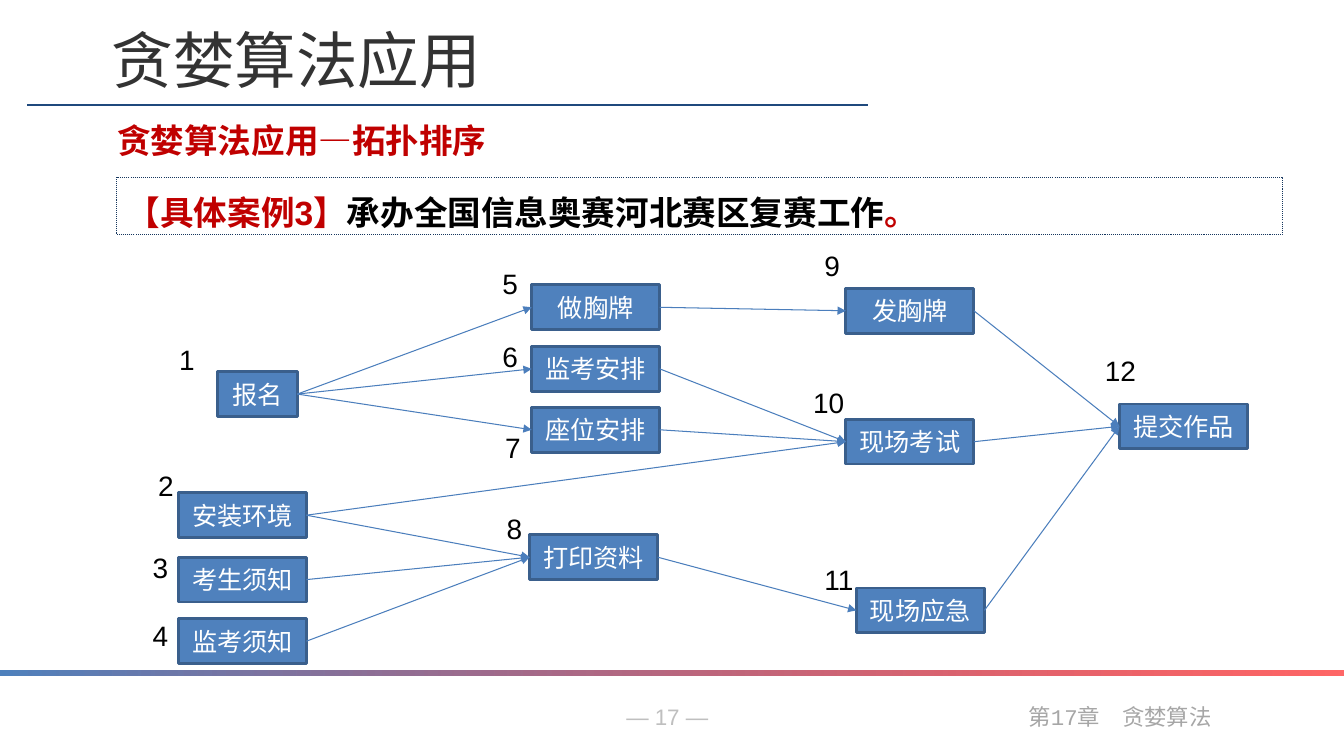
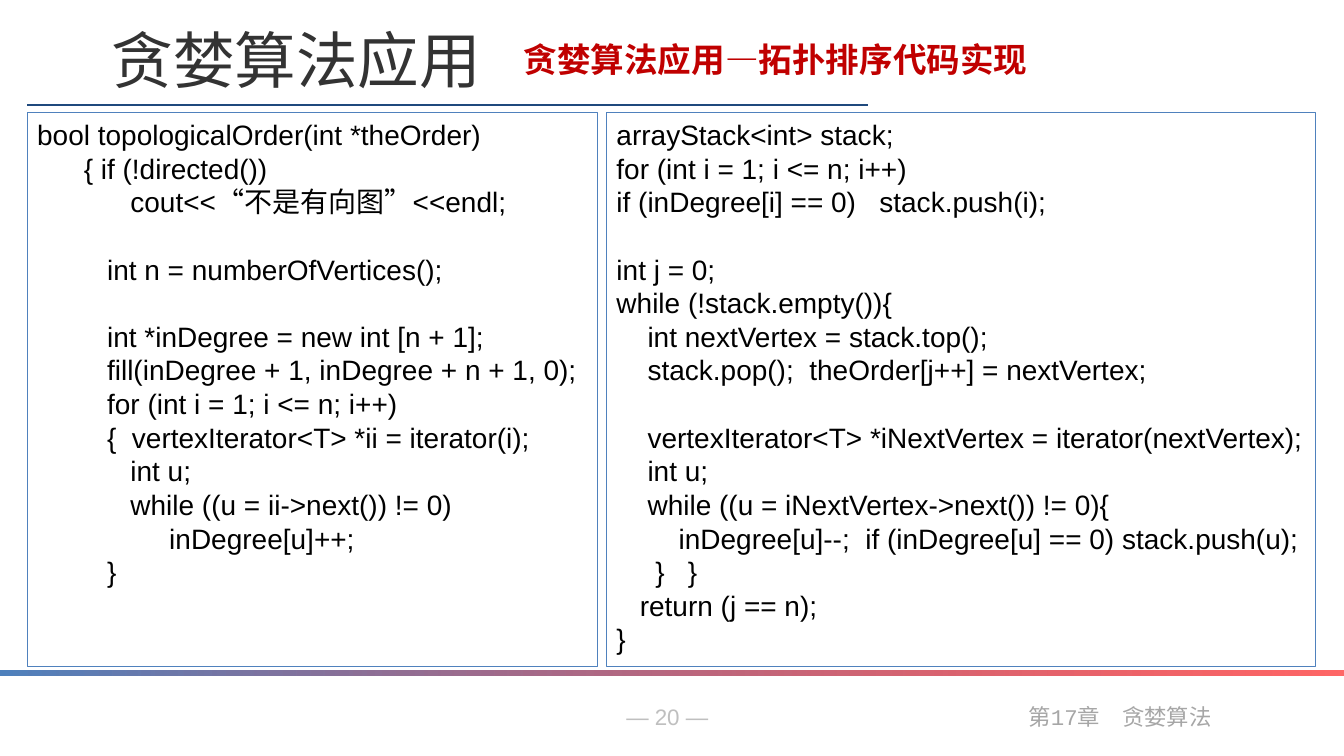
from dataclasses import dataclass
from lxml.etree import SubElement
from pptx import Presentation
from pptx.dml.color import RGBColor
from pptx.enum.dml import MSO_LINE_DASH_STYLE as DASH
from pptx.enum.shapes import MSO_CONNECTOR as CONN, MSO_SHAPE as SHAPE
from pptx.enum.text import MSO_ANCHOR as ANCHOR, MSO_AUTO_SIZE as AUTO, PP_ALIGN as ALIGN
from pptx.oxml.ns import qn
from pptx.util import Pt


@dataclass(frozen=True)
class Theme:
    """Colours, fonts and type sizes shared by the slides."""
    sans: str = "Arial"
    mono: str = "Courier New"
    cjk: str = "Noto Sans CJK SC"
    ink: str = "000000"
    white: str = "FFFFFF"
    heading: str = "333333"
    accent: str = "C00000"
    blue: str = "4F81BD"
    edge: str = "3A5F8C"
    arrow: str = "4B7EBC"
    rule: str = "1F497D"
    frame: str = "17375E"
    red: str = "FF0000"
    page: str = "BFBFBF"
    chapter: str = "A6A6A6"
    title_size: float = 44
    lead_size: float = 24
    code_size: float = 20
    node_size: float = 18
    foot_size: float = 16


T = Theme()
CODE_LINE = 24
NODE_W, NODE_H = 91.5, 32
TITLE = "贪婪算法应用"

NODES = {
    1: ("报名", 55.5, 91.5, 21, 67),
    2: ("安装环境", 27.5, 178, 6, 157),
    3: ("考生须知", 27.5, 224, 2, 216),
    4: ("监考须知", 27.5, 268, 2, 264),
    5: ("做胸牌", 280, 29.5, 252, 12.5),
    6: ("监考安排", 280, 73.5, 252, 65),
    7: ("座位安排", 280, 117, 254, 130),
    8: ("打印资料", 278.5, 208, 255, 188),
    9: ("发胸牌", 504.5, 32, 482, 0),
    10: ("现场考试", 504.5, 125.5, 474, 97.5),
    11: ("现场应急", 512, 246, 482, 224),
    12: ("提交作品", 700, 114.5, 682.5, 75),
}
EDGES = [(1, 5), (1, 6), (1, 7), (5, 9), (6, 10), (7, 10), (2, 10),
         (2, 8), (3, 8), (4, 8), (8, 11), (11, 12), (10, 12), (9, 12)]

COUNT_CODE = """bool topologicalOrder(int *theOrder)
      { if (!directed())
            cout<<“不是有向图”<<endl;

         int n = numberOfVertices();

         int *inDegree = new int [n + 1];
         fill(inDegree + 1, inDegree + n + 1, 0);
         for (int i = 1; i <= n; i++)
         {  vertexIterator<T> *ii = iterator(i);
            int u;
            while ((u = ii->next()) != 0)
                 inDegree[u]++;
         }"""
SORT_CODE = """arrayStack<int> stack;
for (int i = 1; i <= n; i++)
if (inDegree[i] == 0)   stack.push(i);

int j = 0;
while (!stack.empty()){
    int nextVertex = stack.top();
    stack.pop();  theOrder[j++] = nextVertex;

    vertexIterator<T> *iNextVertex = iterator(nextVertex);
    int u;
    while ((u = iNextVertex->next()) != 0){
        inDegree[u]--;  if (inDegree[u] == 0) stack.push(u);
     }   }
   return (j == n);
}"""


def rgb(value):
    """Turn a hex string into a colour."""
    return RGBColor.from_string(value)


def apply(obj, values):
    """Set every attribute named in a dict of format values."""
    for name, value in values.items():
        setattr(obj, name, value)


def place(sp, box):
    """Move and size a shape to a box in points."""
    apply(sp, dict(zip(("left", "top", "width", "height"), map(Pt, box))))


def add_run(p, text, size, color, face=T.sans, bold=False):
    """Add a run with its Latin and East Asian fonts."""
    r = p.add_run()
    r.text = text
    apply(r.font, {"size": Pt(size), "bold": bold, "name": face})
    r.font.color.rgb = rgb(color)
    SubElement(r._r.get_or_add_rPr(), qn("a:ea"), typeface=T.cjk)


def frame(sp, anchor=ANCHOR.TOP, align=ALIGN.LEFT):
    """Prepare a text frame and return its first paragraph."""
    tf = sp.text_frame
    apply(tf, {"word_wrap": True, "auto_size": AUTO.NONE, "vertical_anchor": anchor})
    p = tf.paragraphs[0]
    apply(p, {"alignment": align, "space_before": Pt(0)})
    return p


def add_text(s, box, text, size, color, face=T.sans):
    """Add a one-paragraph text box."""
    sp = s.shapes.add_textbox(*map(Pt, box))
    add_run(frame(sp), text, size, color, face)


def add_box(s, box, line, width, fill=None, dash=None):
    """Add an outlined rectangle."""
    sp = s.shapes.add_shape(SHAPE.RECTANGLE, *map(Pt, box))
    sp.shadow.inherit = False
    if fill:
        sp.fill.solid()
        sp.fill.fore_color.rgb = rgb(fill)
    else:
        sp.fill.background()
    sp.line.color.rgb = rgb(line)
    apply(sp.line, {"width": Pt(width), "dash_style": dash})
    return sp


def add_line(s, start, end, color, width):
    """Add a straight connector without a shadow."""
    cx = s.shapes.add_connector(CONN.STRAIGHT, *map(Pt, (*start, *end)))
    cx.line.color.rgb = rgb(color)
    cx.line.width = Pt(width)
    SubElement(cx._element.spPr, qn("a:effectLst"))
    return cx


def add_band(s, box):
    """Add the gradient band above the footer."""
    sp = s.shapes.add_shape(SHAPE.RECTANGLE, *map(Pt, box))
    sp.shadow.inherit = False
    sp.line.fill.background()
    sp.fill.gradient()
    sp.fill.gradient_angle = 0
    for stop, position, color in zip(sp.fill.gradient_stops, (0, 1), (T.blue, T.red)):
        stop.position = position
        stop.color.rgb = rgb(color)
    last = list(sp._element.spPr.iter(qn("a:srgbClr")))[-1]
    SubElement(last, qn("a:alpha"), val="60000")


def add_base(prs, page, lead, lead_box):
    """Add a slide with title, lead line, rule, band and footer."""
    s = prs.slides.add_slide(prs.slide_layouts[1])
    title, body = s.shapes.title, s.placeholders[1]
    place(title, (72.5, 12, 493, 60))
    add_run(frame(title, ANCHOR.MIDDLE), TITLE, T.title_size, T.heading, T.cjk)
    place(body, lead_box)
    p = frame(body, ANCHOR.MIDDLE)
    pPr = p._p.get_or_add_pPr()
    apply_indent = {"marL": Pt(27), "indent": -Pt(27)}
    for name, value in apply_indent.items():
        pPr.set(name, str(int(value)))
    SubElement(pPr, qn("a:buNone"))
    add_run(p, lead, T.lead_size, T.accent, bold=True)
    add_line(s, (19.5, 75), (620.5, 75), T.rule, 1)
    add_band(s, (0, 479, 960.5, 3.6))
    add_text(s, (440.5, 499, 84, 26.5), f"— {page} —", T.foot_size, T.page)
    add_text(s, (728, 499, 145.5, 26.5), "第17章　贪婪算法", T.foot_size, T.chapter, T.mono)
    return s


def add_case(s, box):
    """Add the dotted frame that names the case."""
    sp = add_box(s, box, T.frame, 0.75, dash=DASH.ROUND_DOT)
    p = frame(sp, ANCHOR.MIDDLE)
    p.line_spacing = 1.3
    for text, color in (("【具体案例3】", T.accent),
                        ("承办全国信息奥赛河北赛区复赛工作", T.ink), ("。", T.accent)):
        add_run(p, text, T.lead_size, color, bold=True)


def add_graph(s, left, top):
    """Add the numbered task graph from its top left corner."""
    tasks = {}
    for number, (label, x, y, _, _) in NODES.items():
        width = 57 if number == 1 else NODE_W
        sp = add_box(s, (left + x, top + y, width, NODE_H), T.edge, 2, T.blue)
        add_run(frame(sp, ANCHOR.MIDDLE, ALIGN.CENTER), label, T.node_size, T.white)
        tasks[number] = sp
    for source, target in EDGES:
        cx = add_line(s, (left, top), (left, top), T.arrow, 0.75)
        cx.begin_connect(tasks[source], 3)
        cx.end_connect(tasks[target], 1)
        SubElement(cx.line._get_or_add_ln(), qn("a:tailEnd"), type="triangle")
    for number, (_, _, _, x, y) in NODES.items():
        add_text(s, (left + x, top + y, 46, 31.5), str(number), T.code_size, T.ink)


def add_code(s, box, code):
    """Add a framed listing, turning empty lines into spacing."""
    sp = add_box(s, box, T.blue, 0.75)
    p, gap = frame(sp), 0
    for i, line in enumerate(code.split("\n")):
        if not line:
            gap = CODE_LINE
            continue
        if i:
            p = sp.text_frame.add_paragraph()
        apply(p, {"alignment": ALIGN.LEFT, "line_spacing": Pt(CODE_LINE), "space_before": Pt(gap)})
        add_run(p, line, T.code_size, T.ink)
        gap = 0


def add_graph_slide(prs):
    """Build the slide with the task graph."""
    s = add_base(prs, 17, TITLE + "—拓扑排序", (76.5, 82, 304.5, 36))
    add_case(s, (83.5, 126.5, 833, 41))
    add_graph(s, 100, 174)


def add_code_slide(prs):
    """Build the slide with the two listings."""
    s = add_base(prs, 20, TITLE + "—拓扑排序代码实现", (367, 24.5, 503, 36))
    add_code(s, (19.5, 80.5, 407.5, 395.5), COUNT_CODE)
    add_code(s, (433.5, 80.5, 507, 395.5), SORT_CODE)


def main():
    """Build and save the presentation."""
    prs = Presentation()
    apply(prs, {"slide_width": Pt(960.5), "slide_height": Pt(540)})
    add_graph_slide(prs)
    add_code_slide(prs)
    prs.save("out.pptx")


if __name__ == "__main__":
    main()
